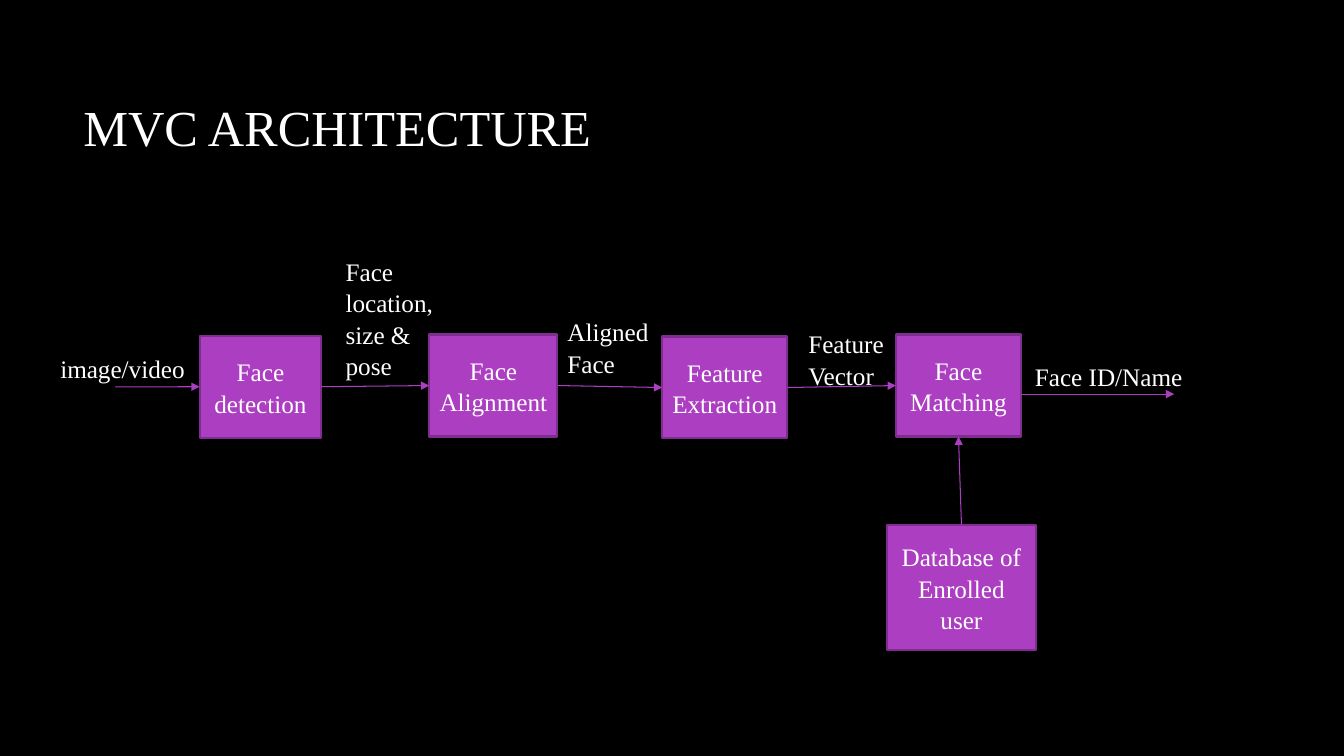
import pptx
import pptx.util
import pptx.dml.color
import pptx.enum.shapes
import pptx.enum.text
import pptx.oxml
import pptx.oxml.ns

Cm, Pt = pptx.util.Cm, pptx.util.Pt
RGB = pptx.dml.color.RGBColor
Anchor, Align = pptx.enum.text.MSO_ANCHOR, pptx.enum.text.PP_ALIGN
BLACK = RGB(0x00, 0x00, 0x00)
WHITE = RGB(0xFF, 0xFF, 0xFF)
VIOLET = RGB(0xAC, 0x3E, 0xC1)
PLUM = RGB(0x7F, 0x2E, 0x8F)
TOP, LEFT, BOTTOM, RIGHT = range(4)


def apply(item, values):
    for name, value in values.items():
        setattr(item, name, value)


def node(tag, extra=""):
    """Make an empty element of the drawing namespace."""
    space = pptx.oxml.ns.nsdecls("a")
    return pptx.oxml.parse_xml(f"<a:{tag} {space} {extra}/>")


class Board:
    font = {"name": "Times New Roman", "size": Pt(18)}
    pad = Cm(0.23)

    def __init__(self, slide):
        self.slide = slide
        fill = slide.background.fill
        fill.solid()
        fill.fore_color.rgb = BLACK

    def fill_text(self, shape, text, frame, para, font):
        body = shape.text_frame
        apply(body, {"word_wrap": True, **frame})
        line = body.paragraphs[0]
        apply(line, para)
        run = line.add_run()
        run.text = text
        apply(run.font, {**self.font, **font})
        run.font.color.rgb = WHITE

    def title(self, text, *area):
        shape = self.slide.shapes.add_textbox(*map(Cm, area))
        self.fill_text(shape, text, {"vertical_anchor": Anchor.MIDDLE}, {},
                       {"size": Pt(36)})

    def label(self, text, *area):
        shape = self.slide.shapes.add_textbox(*map(Cm, area))
        self.fill_text(shape, text, {}, {"line_spacing": 1.04}, {})

    def box(self, text, *area):
        kind = pptx.enum.shapes.MSO_SHAPE.RECTANGLE
        shape = self.slide.shapes.add_shape(kind, *map(Cm, area))
        shape.shadow.inherit = False
        shape.fill.solid()
        shape.fill.fore_color.rgb = VIOLET
        shape.line.color.rgb = PLUM
        shape.line.width = Pt(1.5)
        frame = {"vertical_anchor": Anchor.MIDDLE,
                 "margin_left": self.pad, "margin_right": self.pad}
        para = {"alignment": Align.CENTER, "line_spacing": 1.04}
        self.fill_text(shape, text, frame, para, {})
        return shape

    def arrow(self, start, end, source=None, target=None):
        """Draw from start to end in cm; source and target are (box, side)."""
        kind = pptx.enum.shapes.MSO_CONNECTOR.STRAIGHT
        arrow = self.slide.shapes.add_connector(kind, *map(Cm, start + end))
        if source:
            arrow.begin_connect(*source)
        if target:
            arrow.end_connect(*target)
        arrow.line.color.rgb = VIOLET
        arrow.line.width = Pt(0.75)
        qn = pptx.oxml.ns.qn
        props = arrow.element.find(qn("p:spPr"))
        props.find(qn("a:ln")).append(node("tailEnd", 'type="triangle"'))
        props.append(node("effectLst"))

    def link(self, source, target):
        self.arrow((0, 0), (0, 0), source, target)


def main():
    deck = pptx.Presentation()
    deck.slide_width, deck.slide_height = Cm(33.87), Cm(19.05)
    board = Board(deck.slides.add_slide(deck.slide_layouts[6]))
    board.title("MVC ARCHITECTURE", 1.85, 1.17, 28.14, 4.04)

    steps = [board.box(text, left, top, width, 2.57)
             for text, left, top, width in (
                 ("Face detection", 5.03, 8.46, 3.07),
                 ("Face Alignment", 10.82, 8.43, 3.23),
                 ("Feature Extraction", 16.69, 8.48, 3.15),
                 ("Face Matching", 22.58, 8.43, 3.15))]
    store = board.box("Database of Enrolled user", 22.35, 13.23, 3.76, 3.15)

    board.arrow((2.9, 9.75), (5.03, 9.75), target=(steps[0], LEFT))
    for prev, step in zip(steps, steps[1:]):
        board.link((prev, RIGHT), (step, LEFT))
    board.link((store, TOP), (steps[-1], BOTTOM))
    board.arrow((25.73, 9.93), (29.59, 9.93))

    for label in (
            ("image/video", 1.27, 8.74, 7.62, 1.02),
            ("Face location, size & pose", 8.46, 6.3, 3, 3.33),
            ("Aligned Face", 14.05, 7.82, 3, 1.8),
            ("Feature Vector", 20.12, 8.13, 3.78, 1.8),
            ("Face ID/Name", 25.83, 8.94, 7.62, 1.02)):
        board.label(*label)
    deck.save("out.pptx")


if __name__ == "__main__":
    main()
